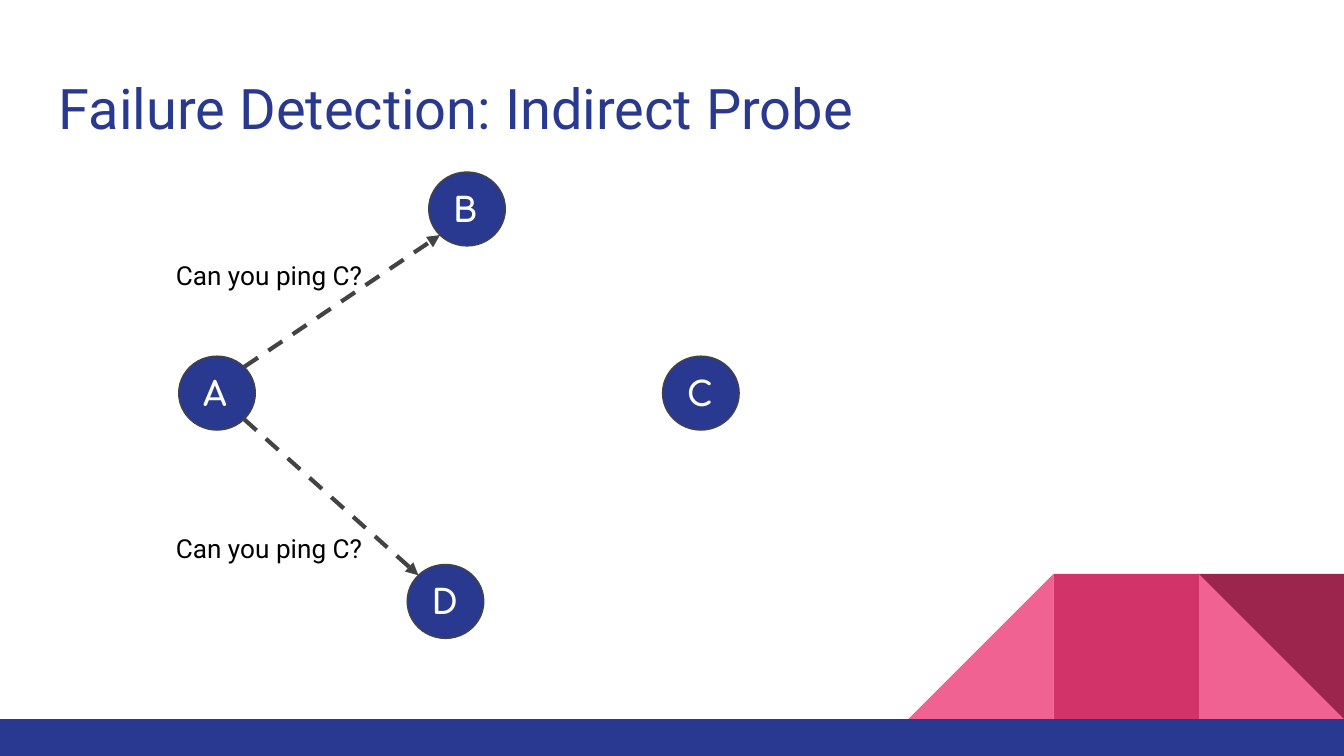
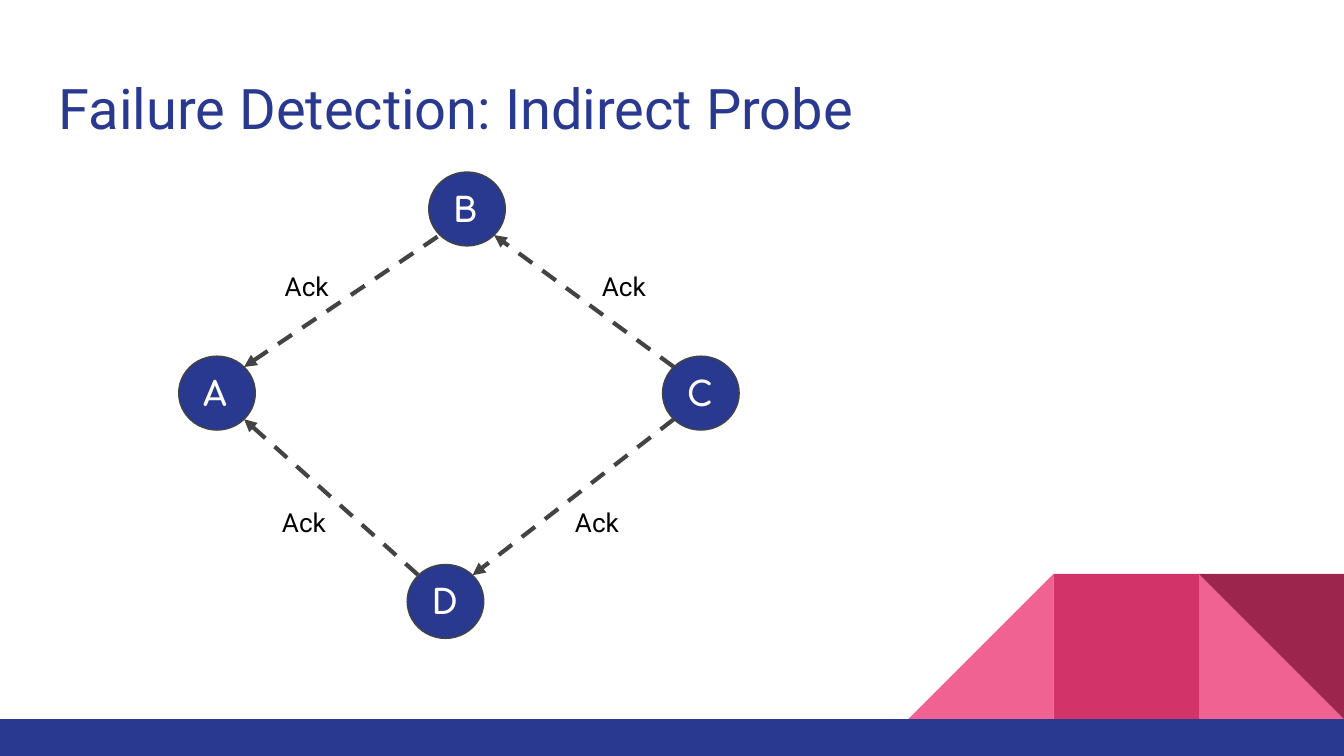
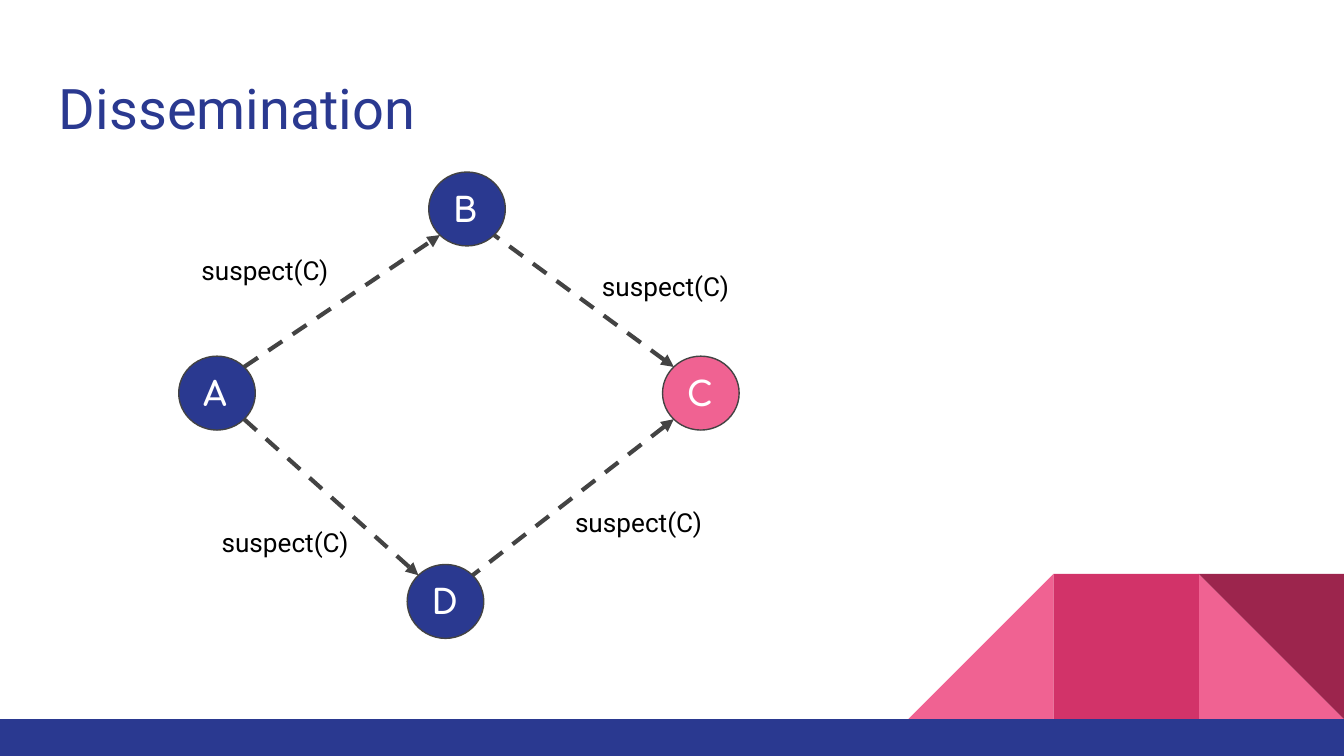
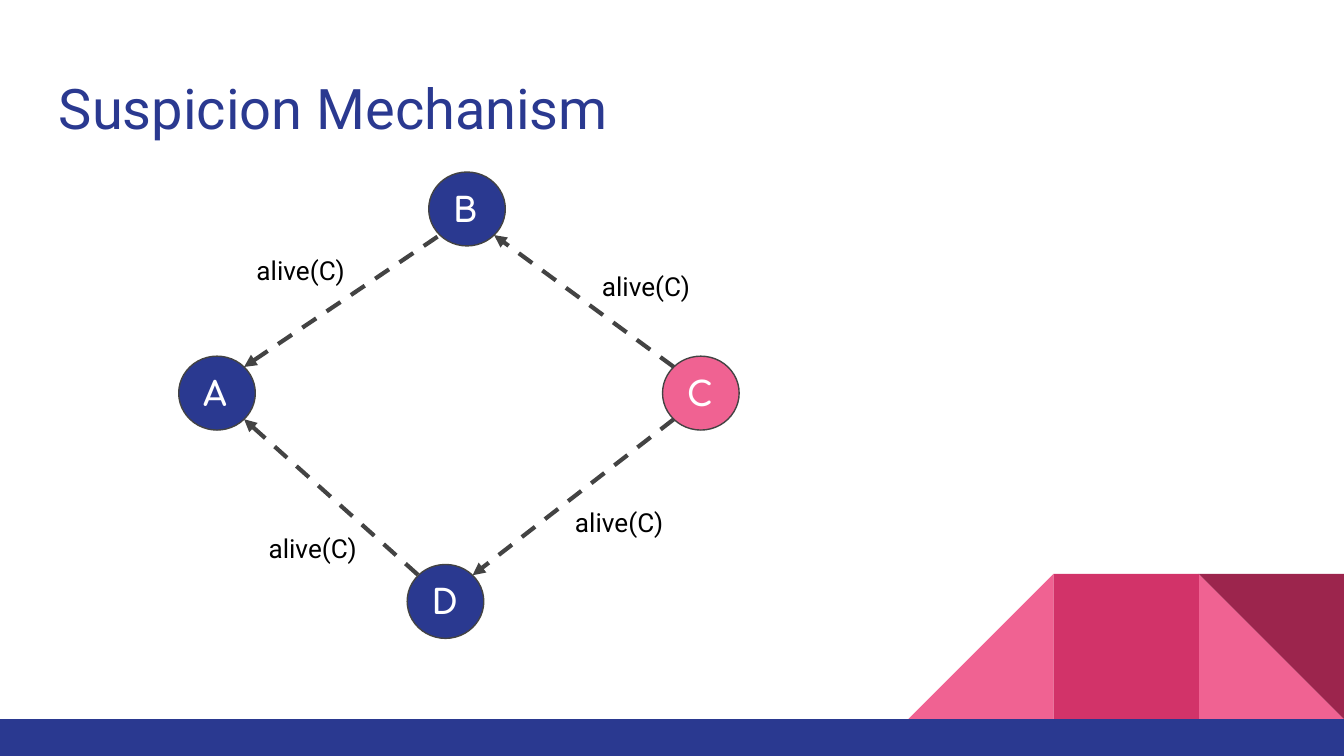
"""Builds four slides on failure detection among the nodes of a cluster."""
from dataclasses import dataclass
from math import copysign, sqrt

from lxml import etree
from pptx import Presentation
from pptx.dml.color import RGBColor
from pptx.enum.dml import MSO_LINE
from pptx.enum.shapes import MSO_CONNECTOR, MSO_SHAPE
from pptx.enum.text import MSO_ANCHOR, PP_ALIGN
from pptx.oxml.ns import qn
from pptx.slide import Slide
from pptx.text.text import TextFrame
from pptx.util import Inches, Pt

STRAIGHT = MSO_CONNECTOR.STRAIGHT
DASH = MSO_LINE.DASH
OVAL = MSO_SHAPE.OVAL
RECTANGLE = MSO_SHAPE.RECTANGLE
TRIANGLE = MSO_SHAPE.RIGHT_TRIANGLE
TOP = MSO_ANCHOR.TOP
MIDDLE = MSO_ANCHOR.MIDDLE
LEFT = PP_ALIGN.LEFT

COLORS = {
    "navy": "2A3990",
    "pink": "F06292",
    "rose": "D23369",
    "wine": "9C254D",
    "gray": "434343",
    "black": "000000",
    "white": "FFFFFF",
}
SLIDE_WIDTH = 10
SLIDE_HEIGHT = SLIDE_WIDTH * 9 / 16
NODE_WIDTH, NODE_HEIGHT = 0.57, 0.55
TILE = 1.08
BAND_TOP = 5.35
LABEL_HEIGHT = 0.42


@dataclass(frozen=True)
class TextStyle:
    size: float
    font: str
    color: str
    bold: bool = False


@dataclass(frozen=True)
class Node:
    name: str
    left: float
    top: float

    @property
    def center(self) -> tuple[float, float]:
        return self.left + NODE_WIDTH / 2, self.top + NODE_HEIGHT / 2

    def edge_toward(self, other: "Node") -> tuple[float, float]:
        x, y = self.center
        other_x, other_y = other.center
        return (
            x + copysign(NODE_WIDTH / 2 / sqrt(2), other_x - x),
            y + copysign(NODE_HEIGHT / 2 / sqrt(2), other_y - y),
        )


@dataclass(frozen=True)
class Decoration:
    kind: MSO_SHAPE
    left: float
    top: float
    width: float
    height: float
    color: str
    rotation: int = 0
    mirrored: bool = False


@dataclass(frozen=True)
class Label:
    left: float
    top: float
    width: float


@dataclass(frozen=True)
class Step:
    title: str
    sender: str
    links: tuple[str, ...]
    message: str
    labels: tuple[Label, ...]
    suspect: str = ""


TITLE_STYLE = TextStyle(30, "Roboto", "navy")
NODE_STYLE = TextStyle(18, "Comfortaa", "white", True)
LABEL_STYLE = TextStyle(14, "Roboto", "black")

NODES = {
    node.name: node
    for node in (
        Node("A", 1.33, 2.65),
        Node("C", 4.93, 2.65),
        Node("D", 3.03, 4.2),
        Node("B", 3.19, 1.28),
    )
}
TILE_TOP = BAND_TOP - TILE
DECORATIONS = (
    Decoration(TRIANGLE, SLIDE_WIDTH - TILE, TILE_TOP, TILE, TILE, "pink"),
    Decoration(TRIANGLE, SLIDE_WIDTH - 3 * TILE, TILE_TOP, TILE, TILE, "pink", mirrored=True),
    Decoration(RECTANGLE, SLIDE_WIDTH - 2 * TILE, TILE_TOP, TILE, TILE, "rose"),
    Decoration(TRIANGLE, SLIDE_WIDTH - TILE, TILE_TOP, TILE, TILE, "wine", rotation=180),
    Decoration(RECTANGLE, 0, BAND_TOP, SLIDE_WIDTH, SLIDE_HEIGHT - BAND_TOP, "navy"),
)
A_LINKS = ("AB", "AD")
ALL_LINKS = A_LINKS + ("CB", "CD")
STEPS = (
    Step("Failure Detection: Indirect Probe", "A", A_LINKS, "Can you ping C?",
         (Label(1.21, 1.83, 1.9), Label(1.21, 3.86, 1.9))),
    Step("Failure Detection: Indirect Probe", "C", ALL_LINKS, "Ack",
         (Label(2.02, 1.91, 0.89), Label(2, 3.67, 0.93),
          Label(4.18, 3.67, 0.93), Label(4.38, 1.91, 0.93))),
    Step("Dissemination", "A", ALL_LINKS, "suspect(C)",
         (Label(1.4, 1.79, 1.3), Label(1.55, 3.82, 1.19),
          Label(4.18, 3.67, 1.39), Label(4.38, 1.91, 1.19)), "C"),
    Step("Suspicion Mechanism", "C", ALL_LINKS, "alive(C)",
         (Label(1.81, 1.79, 0.89), Label(1.9, 3.86, 0.93),
          Label(4.18, 3.67, 0.93), Label(4.38, 1.91, 0.93)), "C"),
)


def rgb(name: str) -> RGBColor:
    """Return the named colour."""
    return RGBColor.from_string(COLORS[name])


def write(frame: TextFrame, text: str, style: TextStyle, anchor: MSO_ANCHOR = TOP) -> None:
    """Write one styled line into a text frame."""
    frame.word_wrap = True
    frame.vertical_anchor = anchor
    frame.margin_left = frame.margin_right = Inches(0.1)
    frame.margin_top = frame.margin_bottom = Inches(0.1)
    para = frame.paragraphs[0]
    para.alignment = LEFT
    span = para.add_run()
    span.text = text
    span.font.size = Pt(style.size)
    span.font.name = style.font
    span.font.bold = style.bold
    span.font.color.rgb = rgb(style.color)


def add_text(page: Slide, place: Label, height: float, text: str, style: TextStyle) -> None:
    """Add a text box."""
    box = page.shapes.add_textbox(
        Inches(place.left), Inches(place.top), Inches(place.width), Inches(height))
    write(box.text_frame, text, style)


def add_decorations(page: Slide) -> None:
    """Add the grouped corner tiles and bottom band."""
    group = page.shapes.add_group_shape()
    for item in DECORATIONS:
        shape = group.shapes.add_shape(
            item.kind, Inches(item.left), Inches(item.top),
            Inches(item.width), Inches(item.height))
        shape.shadow.inherit = False
        shape.fill.solid()
        shape.fill.fore_color.rgb = rgb(item.color)
        shape.line.fill.background()
        shape.rotation = item.rotation
        if item.mirrored:
            shape.element.spPr.xfrm.set("flipH", "1")


def add_node(page: Slide, node: Node, color: str) -> None:
    """Add a node circle with its letter."""
    circle = page.shapes.add_shape(
        OVAL, Inches(node.left), Inches(node.top), Inches(NODE_WIDTH), Inches(NODE_HEIGHT))
    circle.shadow.inherit = False
    circle.fill.solid()
    circle.fill.fore_color.rgb = rgb(color)
    circle.line.color.rgb = rgb("gray")
    circle.line.width = Pt(0.75)
    write(circle.text_frame, node.name, NODE_STYLE, MIDDLE)


def add_link(page: Slide, start: Node, end: Node, outward: bool) -> None:
    """Add a dashed link whose arrowhead is at its end if outward, else at its start."""
    points = (*start.edge_toward(end), *end.edge_toward(start))
    link = page.shapes.add_connector(STRAIGHT, *map(Inches, points))
    link.line.color.rgb = rgb("gray")
    link.line.width = Pt(2.25)
    link.line.dash_style = DASH
    properties = link.element.spPr
    tip = "a:tailEnd" if outward else "a:headEnd"
    etree.SubElement(properties.find(qn("a:ln")), qn(tip), type="triangle")
    etree.SubElement(properties, qn("a:effectLst"))


def add_step(page: Slide, step: Step) -> None:
    """Draw one step of the protocol."""
    add_decorations(page)
    add_text(page, Label(0.34, 0.45, 9.32), 0.66, step.title, TITLE_STYLE)
    for node in NODES.values():
        add_node(page, node, "pink" if node.name == step.suspect else "navy")
    for start, end in step.links:
        add_link(page, NODES[start], NODES[end], start == step.sender)
    for label in step.labels:
        add_text(page, label, LABEL_HEIGHT, step.message, LABEL_STYLE)


def main() -> None:
    """Build and save the deck."""
    deck = Presentation()
    deck.slide_width = Inches(SLIDE_WIDTH)
    deck.slide_height = Inches(SLIDE_HEIGHT)
    blank = deck.slide_layouts[6]
    for step in STEPS:
        add_step(deck.slides.add_slide(blank), step)
    deck.save("out.pptx")


if __name__ == "__main__":
    main()
